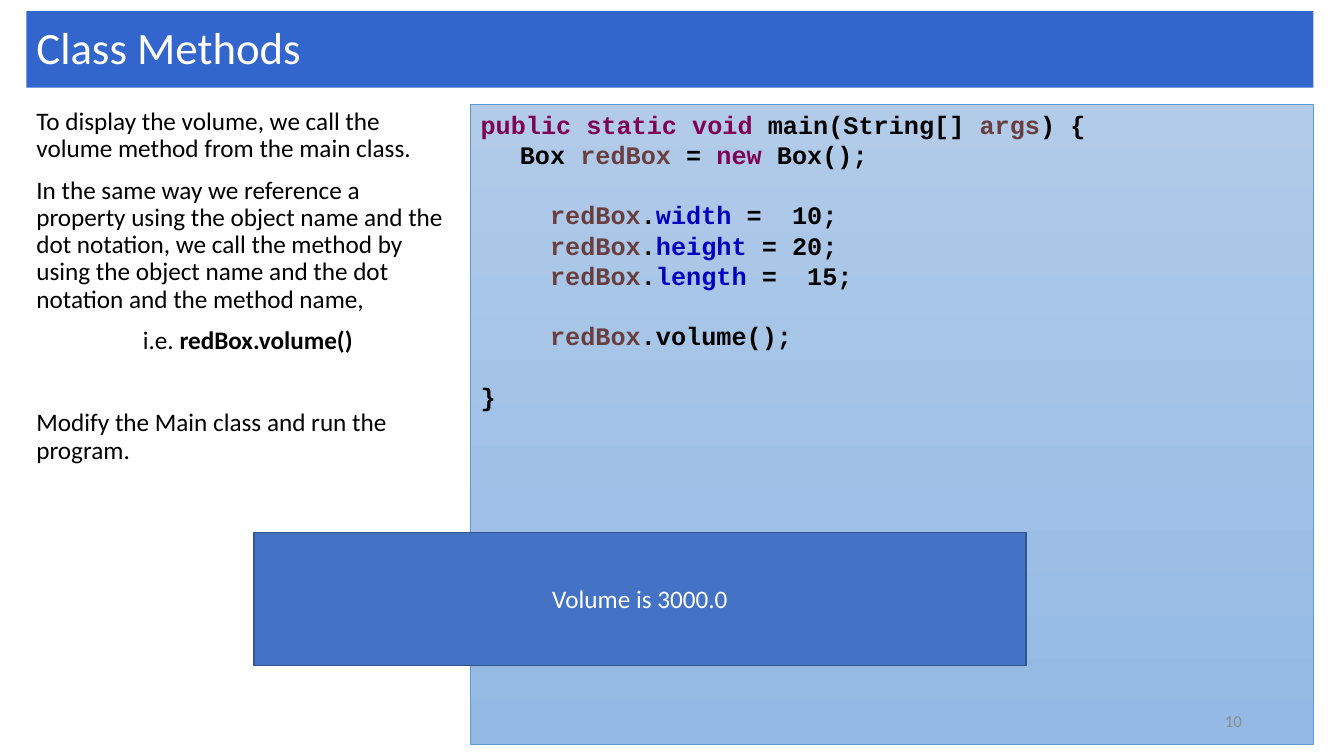
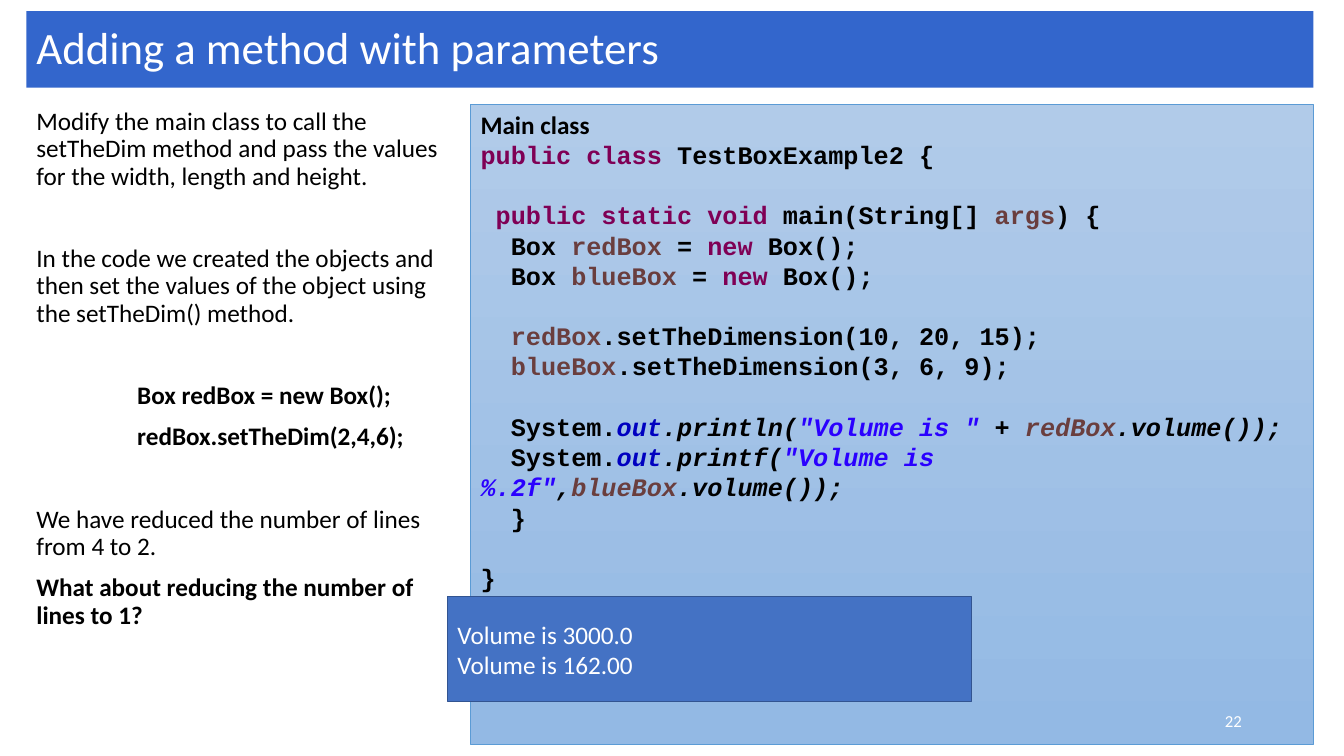
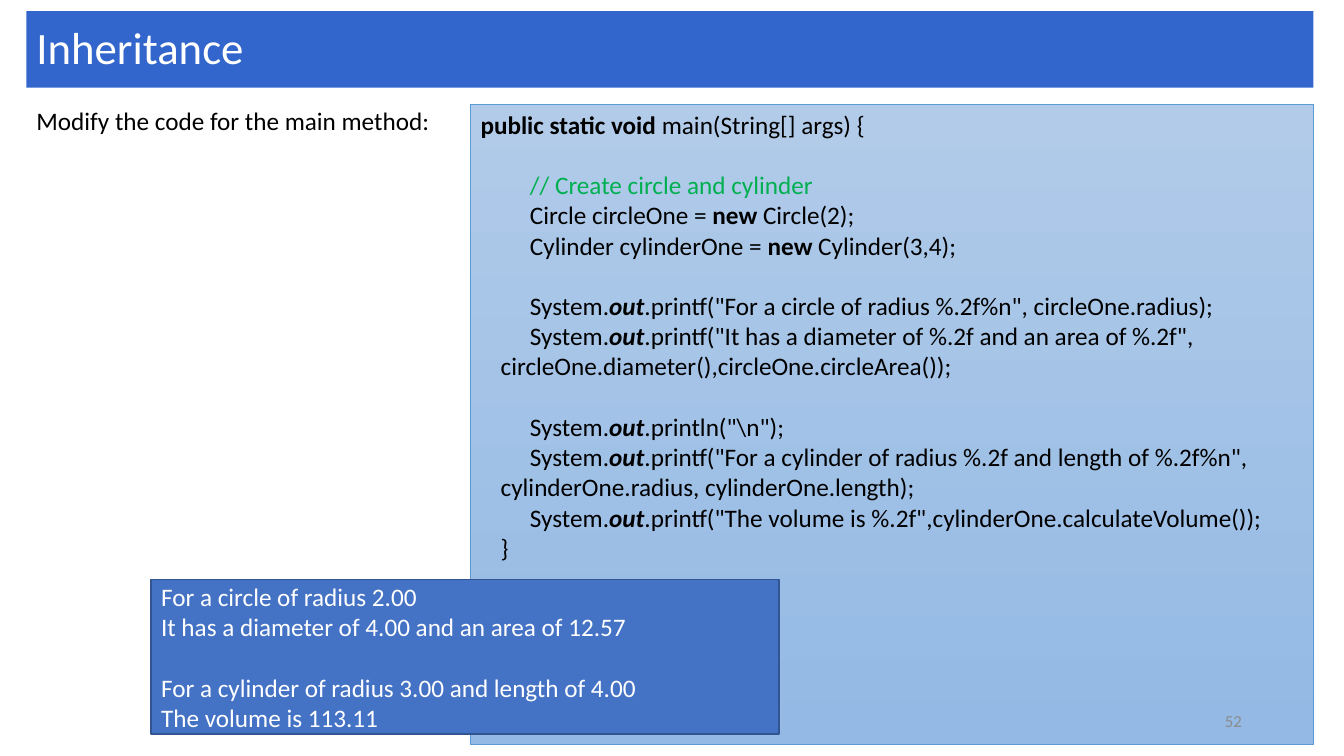
from dataclasses import dataclass

from pptx import Presentation
from pptx.dml.color import RGBColor
from pptx.enum.shapes import MSO_SHAPE
from pptx.enum.text import MSO_ANCHOR, MSO_AUTO_SIZE, PP_ALIGN
from pptx.oxml.xmlchemy import OxmlElement
from pptx.util import Pt


@dataclass(frozen=True)
class Theme:
    font: str = "Calibri"
    mono: str = "Courier New"
    title_size: float = 32
    text_size: float = 18
    number_size: float = 12
    line_pitch: float = 21.6
    body_gap: float = 10
    body_break: float = 39.5
    black: str = "000000"
    white: str = "FFFFFF"
    grey: str = "8C8C8C"
    band: str = "3366CC"
    panel_top: str = "B1CBE9"
    panel_bottom: str = "93B9E4"
    panel_line: str = "5B9BD5"
    output: str = "4472C4"
    output_line: str = "325491"
    keyword: str = "7F0055"
    variable: str = "6A3E3E"
    field: str = "0000C0"
    string: str = "2A00FF"
    comment: str = "00B050"


THEME = Theme()
TITLE_BOX = (18.8, 8, 919.4, 54.7)
BODY_BOX = (18.8, 74.2, 310.3, 450)
CODE_BOX = (336.2, 74.2, 601.9, 457.2)
NUMBER_BOX = (678.2, 500.4, 216, 28.8)


def color(value):
    return RGBColor.from_string(value)


def para(*spans, **style):
    """One paragraph: spans are strings or (text, style) pairs."""
    return spans, style


def keyword(text):
    return text, {"ink": THEME.keyword}


def variable(text):
    return text, {"ink": THEME.variable}


def field(text):
    return text, {"ink": THEME.field}


def string(text):
    return text, {"ink": THEME.string}


def strong(text):
    return text, {"bold": True}


def printed(rest, **style):
    """A print statement of the plain listing, with a hanging first line."""
    return para("System.", ("out", {"bold": True, "italic": True}), rest,
                left=14.4, first=20.9, **style)


def write(frame, paras, **defaults):
    """Fill a frame; each paragraph or span style overrides the defaults."""
    frame.word_wrap = True
    frame.auto_size = MSO_AUTO_SIZE.NONE
    frame.vertical_anchor = defaults.get("anchor", MSO_ANCHOR.TOP)
    for index, (spans, own) in enumerate(paras):
        style = {**defaults, **own}
        paragraph = frame.paragraphs[0] if index == 0 else frame.add_paragraph()
        properties = paragraph._p.get_or_add_pPr()
        properties.set("marL", str(Pt(style.get("left", 0))))
        properties.set("indent", str(Pt(style.get("first", 0))))
        properties.append(OxmlElement("a:buNone"))
        paragraph.alignment = style.get("align", PP_ALIGN.LEFT)
        paragraph.line_spacing = style.get("spacing", 1.0)
        paragraph.space_before = Pt(style.get("before", 0) if index else 0)
        for span in spans:
            text, extra = (span, {}) if isinstance(span, str) else span
            look = {**style, **extra}
            run = paragraph.add_run()
            run.text = text
            run.font.name = look.get("font", THEME.font)
            run.font.size = Pt(look.get("size", THEME.text_size))
            run.font.bold = look.get("bold", False)
            run.font.italic = look.get("italic", False)
            run.font.color.rgb = color(look.get("ink", THEME.black))


def place(shape, box):
    shape.left, shape.top, shape.width, shape.height = map(Pt, box)


def add_panel(page, box, line, weight):
    panel = page.shapes.add_shape(MSO_SHAPE.RECTANGLE, *map(Pt, box))
    panel.shadow.inherit = False
    panel.line.color.rgb = color(line)
    panel.line.width = Pt(weight)
    return panel


def add_title(page, box, text):
    title = page.shapes.title
    place(title, box)
    title.fill.solid()
    title.fill.fore_color.rgb = color(THEME.band)
    write(title.text_frame, [para(text)], size=THEME.title_size,
          ink=THEME.white, spacing=0.9, anchor=MSO_ANCHOR.MIDDLE)


def add_body(page, box, paras):
    body = page.placeholders[1]
    place(body, box)
    write(body.text_frame, paras, spacing=0.9, before=THEME.body_gap)


def add_code(page, box, paras, **style):
    panel = add_panel(page, box, THEME.panel_line, 0.5)
    panel.fill.gradient()
    panel.fill.gradient_angle = 270
    ends = (THEME.panel_top, THEME.panel_bottom)
    for position, (stop, value) in enumerate(zip(panel.fill.gradient_stops, ends)):
        stop.position = position
        stop.color.rgb = color(value)
    write(panel.text_frame, paras, spacing=Pt(THEME.line_pitch), **style)


def add_number(page, box, text, ink):
    number = page.shapes.add_textbox(*map(Pt, box))
    write(number.text_frame, [para(text)], size=THEME.number_size, ink=ink,
          align=PP_ALIGN.RIGHT, anchor=MSO_ANCHOR.MIDDLE)


def add_output(page, box, paras, align=PP_ALIGN.LEFT):
    panel = add_panel(page, box, THEME.output_line, 1)
    panel.fill.solid()
    panel.fill.fore_color.rgb = color(THEME.output)
    write(panel.text_frame, paras, ink=THEME.white, align=align,
          spacing=Pt(THEME.line_pitch), anchor=MSO_ANCHOR.MIDDLE)


def add_page(deck, title, body, number, number_ink=THEME.grey, *, code, code_style,
             output, output_box, output_align=PP_ALIGN.LEFT):
    page = deck.slides.add_slide(deck.slide_layouts[1])
    add_title(page, TITLE_BOX, title)
    add_body(page, BODY_BOX, body)
    add_code(page, CODE_BOX, code, **code_style)
    add_number(page, NUMBER_BOX, number, number_ink)
    add_output(page, output_box, output, output_align)


def new_box(name, **style):
    return para("  Box ", variable(name), " = ", keyword("new"), " Box();", **style)


def set_field(name, value, **style):
    return para(variable("redBox"), ".", field(name), value, left=49.7, **style)


def main():
    deck = Presentation()
    deck.slide_width, deck.slide_height = Pt(960), Pt(540)
    mono = {"font": THEME.mono, "bold": True}
    blank = {"before": THEME.line_pitch}
    apart = {"before": THEME.body_break}
    upright = {"italic": False}

    add_page(
        deck, "Class Methods",
        [para("To display the volume, we call the volume method from the main class."),
         para("In the same way we reference a property using the object name and the "
              "dot notation, we call the method by using the object name and the dot "
              "notation and the method name,"),
         para("i.e. ", strong("redBox.volume()"), left=76),
         para("Modify the Main class and run the program.", **apart)],
        "10",
        code=[
            para(keyword("public static void"), " main(String[] ", variable("args"), ") {"),
            para("Box ", variable("redBox"), " = ", keyword("new"), " Box();", left=28.1),
            set_field("width", " =  10;", **blank),
            set_field("height", " = 20;"),
            set_field("length", " =  15;"),
            para(variable("redBox"), ".volume();", left=49.7, **blank),
            para("}", **blank)],
        code_style=mono,
        output=[para("Volume is 3000.0")],
        output_box=(181.4, 380.2, 551.5, 95), output_align=PP_ALIGN.CENTER)

    add_page(
        deck, "Adding a method with parameters",
        [para("Modify the main class to call the setTheDim method and pass the values "
              "for the width, length and height."),
         para("In the code we created the objects and then set the values of the object "
              "using the setTheDim() method.", **apart),
         para("Box redBox = new Box();", left=72, bold=True, **apart),
         para("redBox.setTheDim(2,4,6);", left=72, bold=True),
         para("We have reduced the number of lines from 4 to 2.", **apart),
         para("What about reducing the number of lines to 1?", bold=True)],
        "22", THEME.white,
        code=[
            para("Main class", font=THEME.font),
            para(keyword("public class"), " TestBoxExample2 {"),
            para(keyword(" public static void"), " main(String[] ", variable("args"),
                 ") {", **blank),
            new_box("redBox"),
            new_box("blueBox"),
            para(variable("  redBox"), ".setTheDimension(10, 20, 15);", **blank),
            para(variable("  blueBox"), ".setTheDimension(3, 6, 9);"),
            para(("  System.", upright), field("out"), ".println(",
                 string('"Volume is "'), " + ", variable("redBox"), ".volume());",
                 italic=True, **blank),
            para(("  System.", upright), field("out"), ".printf(",
                 string('"Volume is %.2f"'), ",", variable("blueBox"), ".volume());",
                 italic=True),
            para("  }"),
            para("}", **blank)],
        code_style=mono,
        output=[para("Volume is 3000.0"), para("Volume is 162.00")],
        output_box=(319.7, 426.2, 374.4, 74.9))

    add_page(
        deck, "Inheritance",
        [para("Modify the code for the main method:")],
        "52",
        code=[
            para(strong("public static void"), " main(String[] args) {"),
            para("// Create circle and cylinder", ink=THEME.comment, left=35.3, **blank),
            para("Circle circleOne = ", strong("new"), " Circle(2);", left=35.3),
            para("Cylinder cylinderOne = ", strong("new"), " Cylinder(3,4);", left=35.3),
            printed('.printf("For a circle of radius %.2f%n", circleOne.radius);', **blank),
            printed('.printf("It has a diameter of %.2f and an area of %.2f", '
                    "circleOne.diameter(),circleOne.circleArea());"),
            printed('.println("\\n");', **blank),
            printed('.printf("For a cylinder of radius %.2f and length of %.2f%n", '
                    "cylinderOne.radius, cylinderOne.length);"),
            printed('.printf("The volume is %.2f",cylinderOne.calculateVolume());'),
            para("}", left=14.4)],
        code_style={},
        output=[para("For a circle of radius 2.00"),
                para("It has a diameter of 4.00 and an area of 12.57"),
                para("For a cylinder of radius 3.00 and length of 4.00", **blank),
                para("The volume is 113.11")],
        output_box=(108, 414, 448.6, 110.2))

    deck.save("out.pptx")


if __name__ == "__main__":
    main()
